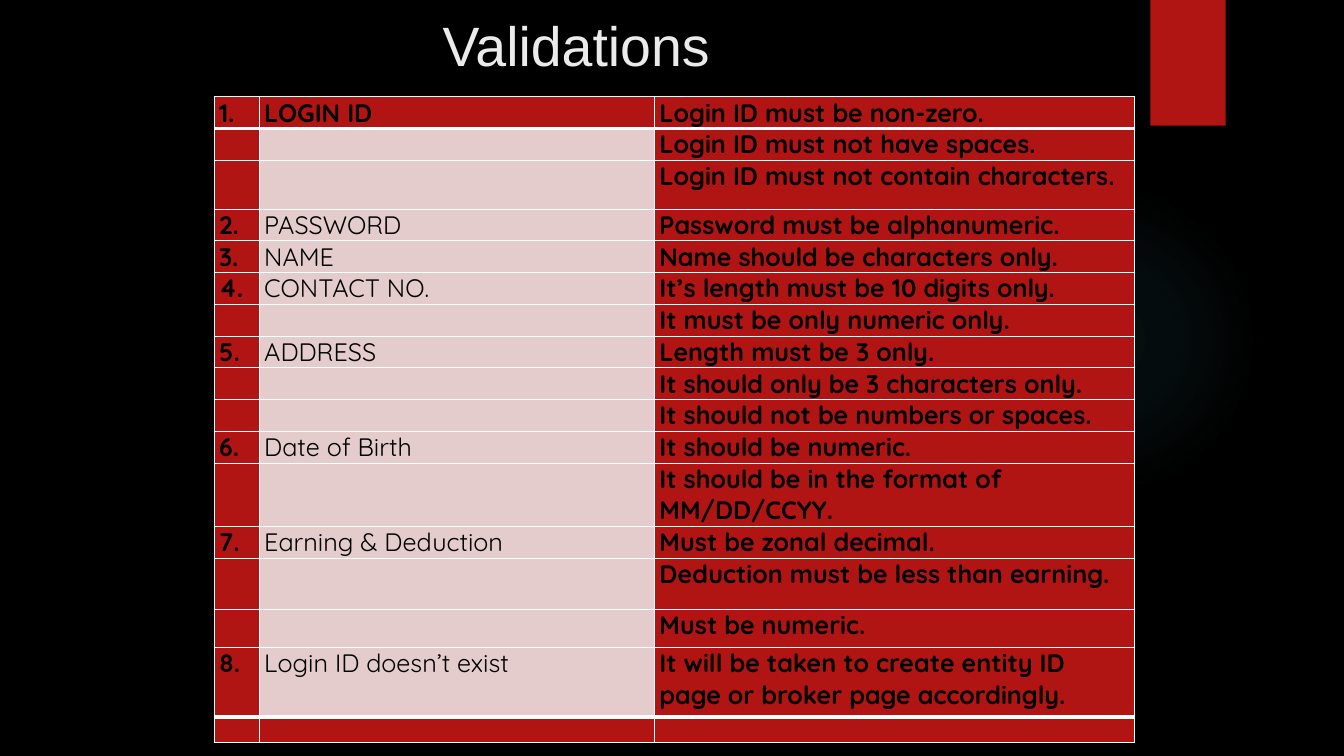
from lxml.etree import SubElement
from pptx import Presentation
from pptx.dml.color import RGBColor
from pptx.enum.shapes import MSO_SHAPE
from pptx.enum.text import MSO_ANCHOR, MSO_AUTO_SIZE, PP_ALIGN
from pptx.oxml import parse_xml
from pptx.oxml.ns import nsdecls, qn
from pptx.util import Cm, Pt

TITLE = "Validations"
LINE = 0.8
VALIDATIONS = [
    ("1.", "LOGIN ID", "Login ID must be non-zero.", LINE),
    ("", "", "Login ID must not have spaces.", LINE),
    ("", "", "Login ID must not contain characters.", 1.23),
    ("2.", "PASSWORD", "Password must be alphanumeric.", LINE),
    ("3.", "NAME", "Name should be characters only.", LINE),
    ("4.", "CONTACT NO.", "It’s length must be 10 digits only.", LINE),
    ("", "", "It must be only numeric only.", LINE),
    ("5.", "ADDRESS", "Length must be 3 only.", LINE),
    ("", "", "It should only be 3 characters only.", LINE),
    ("", "", "It should not be numbers or spaces.", LINE),
    ("6.", "Date of Birth", "It should be numeric.", LINE),
    ("", "", "It should be in the format of MM/DD/CCYY.", 1.6),
    ("7.", "Earning & Deduction", "Must be zonal decimal.", LINE),
    ("", "", "Deduction must be less than earning.", 1.29),
    ("", "", "Must be numeric.", 0.96),
    ("8.", "Login ID doesn’t exist",
     "It will be taken to create entity ID page or broker page accordingly.", 1.74),
    ("", "", "", 0.66),
]
COLUMN_WIDTHS = (1.14, 9.96, 12.09)
GLOW_STOPS = ((0, 7), (36, 6), (69, 0))

BLACK = RGBColor(0x00, 0x00, 0x00)
WHITE = RGBColor(0xFF, 0xFF, 0xFF)
RED = RGBColor(0xB0, 0x15, 0x13)
PINK = RGBColor(0xE4, 0xCC, 0xCC)
TEAL = RGBColor(0x50, 0xB9, 0xC1)
TITLE_GREY = RGBColor(0xEB, 0xEB, 0xEB)


def add_plain_shape(slide, kind, left, top, width, height):
    shape = slide.shapes.add_shape(kind, Cm(left), Cm(top), Cm(width), Cm(height))
    shape.shadow.inherit = False
    shape.line.fill.background()
    return shape


def add_glow(slide):
    glow = add_plain_shape(slide, MSO_SHAPE.OVAL, 23.9, 4.65, 7.82, 7.82)
    stops = "".join(
        f'<a:gs pos="{position * 1000}"><a:srgbClr val="{TEAL}">'
        f'<a:alpha val="{opacity * 1000}"/></a:srgbClr></a:gs>'
        for position, opacity in GLOW_STOPS
    )
    gradient = parse_xml(
        f'<a:gradFill {nsdecls("a")}><a:gsLst>{stops}</a:gsLst><a:path path="circle">'
        '<a:fillToRect l="50000" t="50000" r="50000" b="50000"/></a:path></a:gradFill>'
    )
    glow.element.spPr.find(qn("a:prstGeom")).addnext(gradient)


def add_title(slide):
    title = slide.shapes.title
    title.left, title.top, title.width, title.height = Cm(10.9), Cm(0), Cm(11.4), Cm(1.83)
    frame = title.text_frame
    frame.text = TITLE
    frame.auto_size = MSO_AUTO_SIZE.NONE
    frame.vertical_anchor = MSO_ANCHOR.TOP
    frame.margin_top = Cm(0.29)
    paragraph = frame.paragraphs[0]
    paragraph.alignment = PP_ALIGN.LEFT
    paragraph.font.name = "Arial"
    paragraph.font.size = Pt(39.6)
    paragraph.font.color.rgb = TITLE_GREY


def set_borders(cell, top, bottom):
    properties = cell._tc.get_or_add_tcPr()
    for side, points in (("L", 1), ("R", 1), ("T", top), ("B", bottom)):
        line = SubElement(properties, qn(f"a:ln{side}"), w=str(Pt(points)))
        fill = SubElement(line, qn("a:solidFill"))
        SubElement(fill, qn("a:srgbClr"), val=str(WHITE))


def format_cell(cell, text, bold, fill):
    cell.fill.solid()
    cell.fill.fore_color.rgb = fill
    cell.margin_left = cell.margin_right = Cm(0.12)
    cell.margin_top = cell.margin_bottom = 0
    cell.text = text
    paragraph = cell.text_frame.paragraphs[0]
    paragraph.space_before = paragraph.space_after = Pt(2)
    paragraph.font.name = "Quicksand"
    paragraph.font.size = Pt(18 if text else 12)
    paragraph.font.bold = bold
    paragraph.font.color.rgb = BLACK


def add_validation_table(slide):
    last = len(VALIDATIONS) - 1
    height = sum(row[-1] for row in VALIDATIONS)
    table = slide.shapes.add_table(
        len(VALIDATIONS), len(COLUMN_WIDTHS),
        Cm(5.4), Cm(2.44), Cm(sum(COLUMN_WIDTHS)), Cm(height),
    ).table
    table.first_row = table.horz_banding = False
    for column, width in zip(table.columns, COLUMN_WIDTHS):
        column.width = Cm(width)
    for row_index, (*texts, row_height) in enumerate(VALIDATIONS):
        table.rows[row_index].height = Cm(row_height)
        top = 3 if row_index in (1, last) else 1
        bottom = 3 if row_index in (0, last - 1) else 1
        for column_index, text in enumerate(texts):
            cell = table.cell(row_index, column_index)
            field = column_index == 1 and 0 < row_index < last
            set_borders(cell, top, bottom)
            format_cell(cell, text, not field, PINK if field else RED)


def main():
    """Build the slide listing the validation rules of each field."""
    presentation = Presentation()
    presentation.slide_width, presentation.slide_height = Cm(33.87), Cm(19.05)
    slide = presentation.slides.add_slide(presentation.slide_layouts[5])
    slide.background.fill.solid()
    slide.background.fill.fore_color.rgb = BLACK
    add_glow(slide)
    bookmark = add_plain_shape(slide, MSO_SHAPE.RECTANGLE, 28.99, 0, 1.9, 3.17)
    bookmark.fill.solid()
    bookmark.fill.fore_color.rgb = RED
    add_title(slide)
    add_validation_table(slide)
    presentation.save("out.pptx")


if __name__ == "__main__":
    main()
